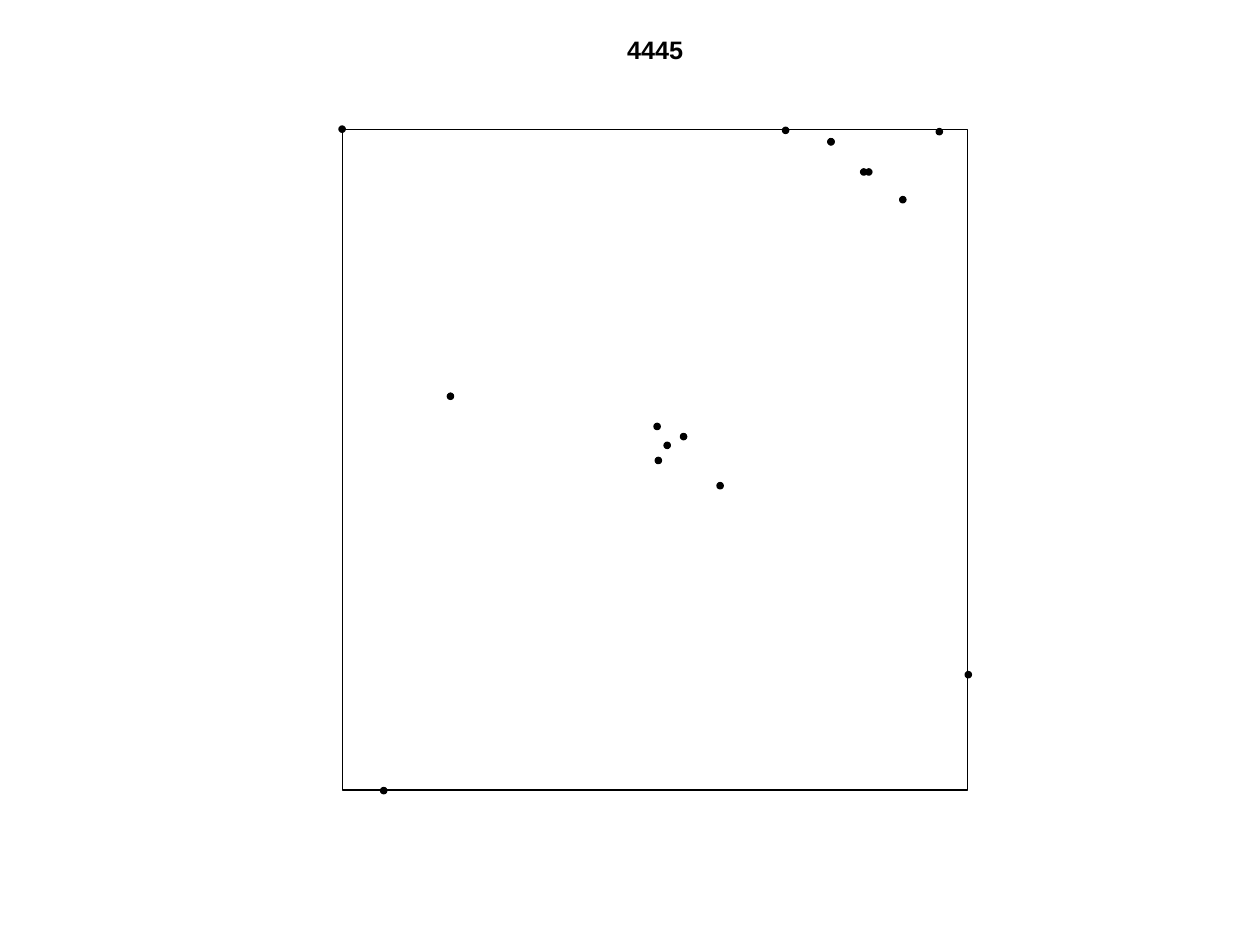
from pptx import Presentation
from pptx.dml.color import RGBColor
from pptx.enum.shapes import MSO_SHAPE
from pptx.enum.text import MSO_ANCHOR, PP_ALIGN
from pptx.util import Inches, Pt

RECT, OVAL = MSO_SHAPE.RECTANGLE, MSO_SHAPE.OVAL
MID, CENTER = MSO_ANCHOR.MIDDLE, PP_ALIGN.CENTER
COLS, ROWS = 1000, 750
BLACK, WHITE = "000000", "FFFFFF"

deck = Presentation()
deck.slide_width, deck.slide_height = Inches(10), Inches(7.5)
slide = deck.slides.add_slide(deck.slide_layouts[6])
unit = deck.slide_width // COLS


def color(code):
    return RGBColor.from_string(code)


def draw(kind, col, row, wide, high, fill, line):
    shape = slide.shapes.add_shape(
        kind, *(n * unit for n in (col, row, wide, high)))
    shape.shadow.inherit = False
    if fill:
        shape.fill.solid()
        shape.fill.fore_color.rgb = color(fill)
    else:
        shape.fill.background()
    shape.line.color.rgb = color(line)
    shape.line.width = Pt(0.75)


draw(RECT, 0, 0, COLS, ROWS, WHITE, WHITE)

title = slide.shapes.add_textbox(497 * unit, 34 * unit, 46 * unit, 15 * unit)
frame = title.text_frame
frame.margin_left = frame.margin_right = 0
frame.margin_top = frame.margin_bottom = 0
frame.word_wrap = False
frame.vertical_anchor = MID
para = frame.paragraphs[0]
para.text = "4445"
para.alignment = CENTER
para.line_spacing = Pt(14.4)
para.font.name = "Arial"
para.font.size = Pt(14.4)
para.font.bold = True
para.font.color.rgb = color(BLACK)

draw(RECT, 272, 103, 496, 524, None, BLACK)

dots = [
    (569, 383), (621, 101), (657, 110), (657, 110),
    (683, 134), (687, 134), (714, 156), (743, 102),
    (766, 533), (302, 625), (355, 312), (519, 336),
    (520, 363), (269, 100), (527, 351), (540, 344),
]
for col, row in dots:
    draw(OVAL, col, row, 5, 5, BLACK, BLACK)

deck.save("out.pptx")
